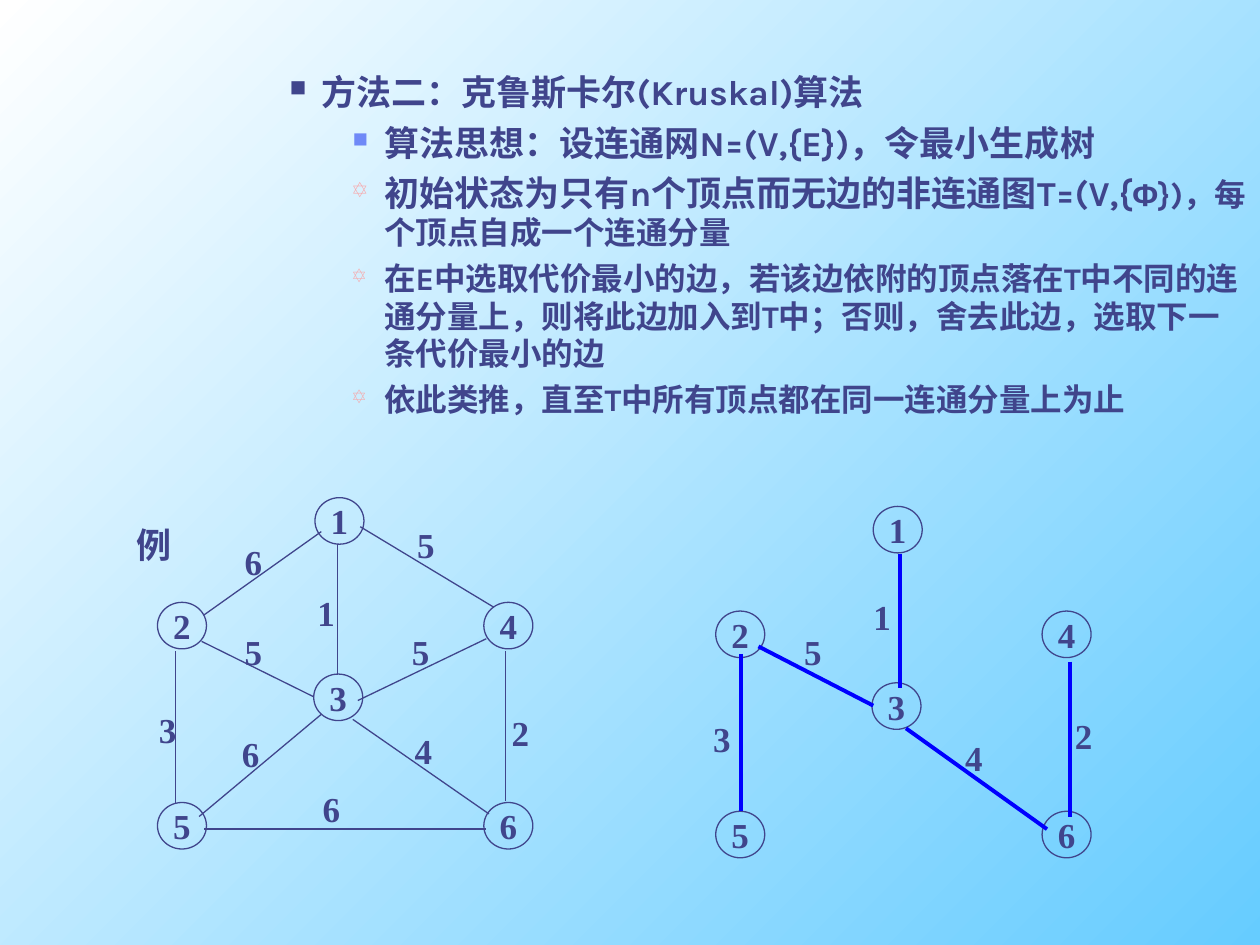
from lxml import etree
from pptx import Presentation
from pptx.dml.color import RGBColor
from pptx.enum.shapes import MSO_CONNECTOR, MSO_SHAPE
from pptx.enum.text import MSO_ANCHOR, MSO_AUTO_SIZE, PP_ALIGN
from pptx.oxml.ns import qn
from pptx.util import Pt

INK = RGBColor(0x40, 0x45, 0x8C)
PERIWINKLE = RGBColor(0x6F, 0x89, 0xF7)
PINK = RGBColor(0xFF, 0x99, 0x99)
TREE_BLUE = RGBColor(0x00, 0x00, 0xFF)
SKY = RGBColor(0x66, 0xCC, 0xFF)
WHITE = RGBColor(0xFF, 0xFF, 0xFF)

BODY_FONT, SYMBOL_FONT, GRAPH_FONT = "Karla", "Arial", "Times New Roman"

# Bullet styles: character, colour, percent of text size, level, indent, space before
TOPIC = ("■", INK, 65, 3, 126, 0)
IDEA = ("■", PERIWINKLE, 60, 4, 162, 5)
STEP = ("✡", PINK, 60, 4, 162, 4.5)

# Each paragraph: bullet style, then runs of (text, size, font)
BODY = [
    (TOPIC, [("方法二：克鲁斯卡尔(Kruskal)算法", 20, BODY_FONT)]),
    (IDEA, [("算法思想：设连通网N=(V,{E})，令最小生成树", 20, BODY_FONT)]),
    (STEP, [("初始状态为只有n个顶点而无边的非连通图T=(V,{", 20, BODY_FONT),
            ("Φ", 18, SYMBOL_FONT),
            ("})，每个顶点自成一个连通分量", 18, BODY_FONT)]),
    (STEP, [("在E中选取代价最小的边，若该边依附的顶点落在T中不同的连通分量上，"
             "则将此边加入到T中；否则，舍去此边，选取下一条代价最小的边", 18, BODY_FONT)]),
    (STEP, [("依此类推，直至T中所有顶点都在同一连通分量上为止", 18, BODY_FONT)]),
]

# Vertex positions (left, top) in the full graph; the tree uses them shifted
VERTICES = {"1": (180, 284.4), "2": (90, 344.2), "3": (179.3, 385.2),
            "4": (276.5, 344.2), "5": (90, 458.6), "6": (276.5, 458.6)}
VERTEX_SIZE = (28, 26.6)
TREE_SHIFT = (319, 5)
LABEL_SIZE = (24.5, 31.7)

# Each edge: weight, label (left, top), line start, line end
GRAPH_EDGES = [
    ("1", (174.2, 334.1), (193, 311), (193, 385.9)),
    ("6", (132.5, 305.3), (183.6, 303.8), (116.6, 351.4)),
    ("3", (83.5, 401), (100.1, 372.2), (100.1, 459.4)),
    ("2", (285.1, 402.5), (288.7, 372.2), (288.7, 457.9)),
    ("6", (177.1, 446.4), (116.6, 473.8), (277.9, 473.8)),
    ("5", (231.1, 295.2), (205.9, 301), (282.2, 347)),
    ("5", (132.5, 356.4), (115.2, 366.5), (179.3, 398.2)),
    ("5", (228.2, 356.4), (277.9, 365), (204.5, 400.3)),
    ("6", (131, 414.7), (183.6, 408.2), (113.8, 466.6)),
    ("4", (229.7, 413.3), (201.6, 411.1), (279.4, 465.1)),
]
TREE_EDGES = [
    ("1", (491.8, 336.2), (514.1, 316.8), (514.1, 393.1)),
    ("2", (607, 404.6), (611.3, 378), (611.3, 466.6)),
    ("3", (400.3, 406.1), (423.4, 373.7), (423.4, 463.7)),
    ("4", (544.3, 416.9), (517.7, 416.2), (598.3, 473.8)),
    ("5", (452.2, 356.4), (433.4, 369.4), (499, 403.2)),
]


def set_font(font, size, name):
    values = {"size": Pt(size), "name": name, "bold": True}
    for attribute, value in values.items():
        setattr(font, attribute, value)
    font.color.rgb = INK


def add_bullet(paragraph, character, color, percent, indent):
    properties = paragraph._p.get_or_add_pPr()
    properties.set("marL", str(Pt(indent)))
    properties.set("indent", str(Pt(-18)))
    bullet_color = etree.SubElement(properties, qn("a:buClr"))
    etree.SubElement(bullet_color, qn("a:srgbClr"), val=str(color))
    etree.SubElement(properties, qn("a:buSzPct"), val=str(percent * 1000))
    etree.SubElement(properties, qn("a:buChar"), char=character)


def add_body(slide):
    frame = slide.shapes.add_textbox(Pt(50.4), Pt(36.7), Pt(669.6), Pt(212.4)).text_frame
    frame.word_wrap = True
    for index, (style, runs) in enumerate(BODY):
        character, color, percent, level, indent, space = style
        paragraph = frame.add_paragraph() if index else frame.paragraphs[0]
        add_bullet(paragraph, character, color, percent, indent)
        paragraph.level = level
        paragraph.space_before = Pt(space)
        for text, size, name in runs:
            run = paragraph.add_run()
            run.text = text
            set_font(run.font, size, name)


def write_centred(shape, text):
    frame = shape.text_frame
    frame.word_wrap = False
    frame.vertical_anchor = MSO_ANCHOR.MIDDLE
    paragraph = frame.paragraphs[0]
    paragraph.alignment = PP_ALIGN.CENTER
    run = paragraph.add_run()
    run.text = text
    set_font(run.font, 20, GRAPH_FONT)


def add_label(shapes, text, position, size=LABEL_SIZE):
    label = shapes.add_textbox(*map(Pt, position + size))
    write_centred(label, text)
    label.text_frame.auto_size = MSO_AUTO_SIZE.SHAPE_TO_FIT_TEXT


def add_vertex(shapes, name, position):
    vertex = shapes.add_shape(MSO_SHAPE.OVAL, *map(Pt, position + VERTEX_SIZE))
    vertex.shadow.inherit = False
    vertex.fill.background()
    vertex.line.color.rgb = INK
    vertex.line.width = Pt(0.75)
    write_centred(vertex, name)


def add_edge(shapes, start, end, color, width):
    edge = shapes.add_connector(MSO_CONNECTOR.STRAIGHT, *map(Pt, start + end))
    edge.line.color.rgb = color
    edge.line.width = Pt(width)
    etree.SubElement(edge._element.spPr, qn("a:effectLst"))


def add_graph(slide, edges, shift, color, width):
    shapes = slide.shapes.add_group_shape().shapes
    for name, (left, top) in VERTICES.items():
        add_vertex(shapes, name, (left + shift[0], top + shift[1]))
    for weight, label_position, start, end in edges:
        add_edge(shapes, start, end, color, width)
        add_label(shapes, weight, label_position)


def main():
    presentation = Presentation()
    presentation.slide_width, presentation.slide_height = Pt(720), Pt(540)
    slide = presentation.slides.add_slide(presentation.slide_layouts[6])

    fill = slide.background.fill
    fill.gradient()
    fill.gradient_angle = 135
    for stop, color in zip(fill.gradient_stops, (SKY, WHITE)):
        stop.color.rgb = color

    add_body(slide)
    add_label(slide.shapes, "例", (70.6, 295.2), (34.6, 31.7))
    add_graph(slide, GRAPH_EDGES, (0, 0), INK, 0.75)
    add_graph(slide, TREE_EDGES, TREE_SHIFT, TREE_BLUE, 2.25)
    presentation.save("out.pptx")


if __name__ == "__main__":
    main()
